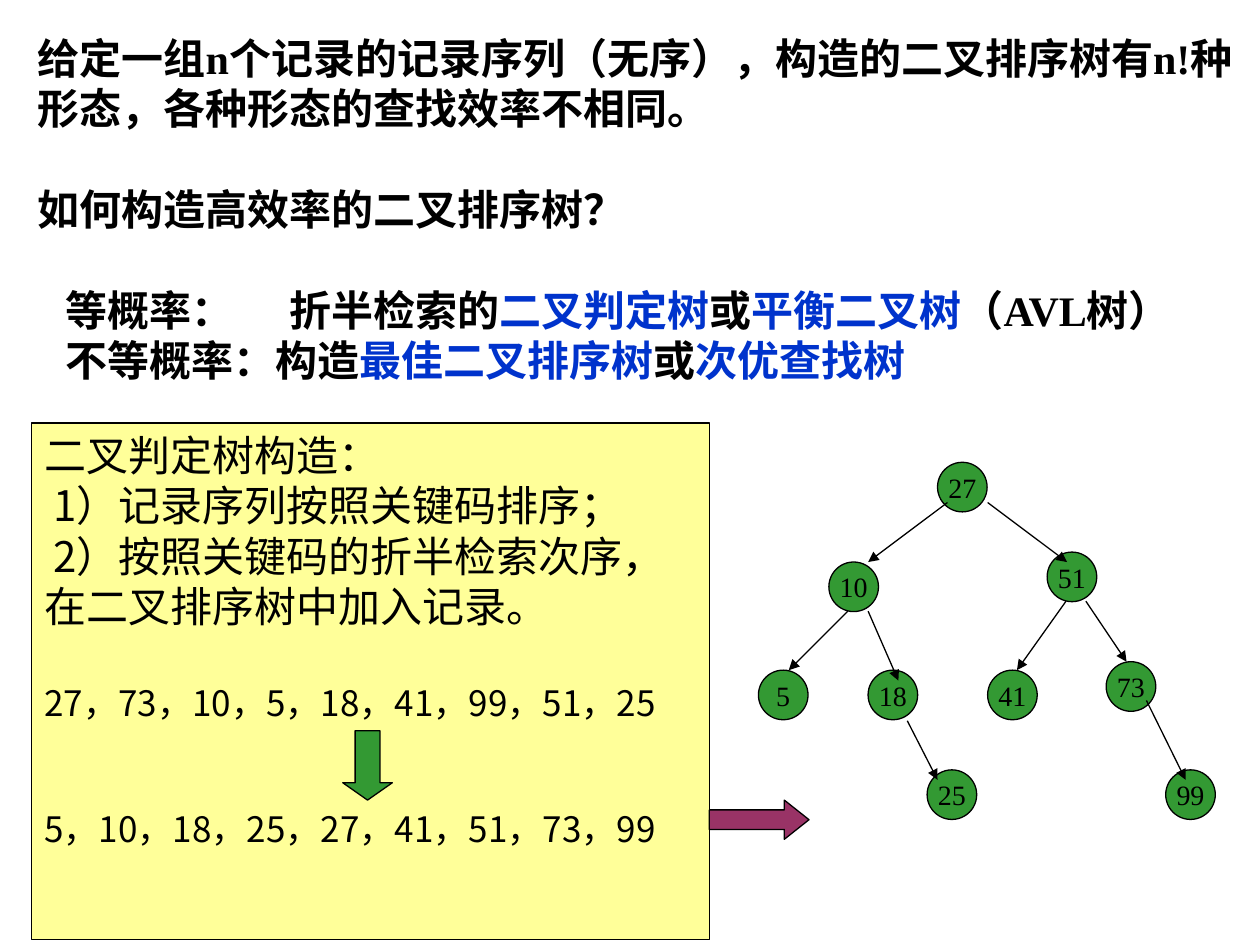
"""Slide on building efficient binary search trees, with a decision tree example."""
from lxml import etree
from pptx import Presentation
from pptx import util as u
from pptx.dml.color import RGBColor
from pptx.enum import shapes, text
from pptx.oxml.ns import qn

BLACK = RGBColor(0x00, 0x00, 0x00)
BLUE = RGBColor(0x00, 0x33, 0xCC)
YELLOW = RGBColor(0xFF, 0xFF, 0x99)
GREEN = RGBColor(0x33, 0x99, 0x33)
PLUM = RGBColor(0x99, 0x33, 0x66)
CJK_FONT = "Noto Sans CJK SC"
LATIN_FONT = "Times New Roman"


def draw(parent, kind, box, fill):
    shape = parent.add_shape(kind, *(u.Cm(length) for length in box))
    shape.shadow.inherit = False
    shape.fill.solid()
    shape.fill.fore_color.rgb = fill
    shape.line.color.rgb = BLACK
    shape.line.width = u.Pt(0.75)
    return shape


def write(frame, paragraphs, font_name, bold=False):
    for i, (runs, size, gap, indent, tab) in enumerate(paragraphs):
        paragraph = frame.paragraphs[0] if i == 0 else frame.add_paragraph()
        paragraph.alignment = text.PP_ALIGN.LEFT
        properties = paragraph._p.get_or_add_pPr()
        properties.set("marL", "0")
        properties.set("indent", str(u.Cm(indent)))
        if gap:
            paragraph.space_before = u.Pt(gap)
        if tab:
            stops = etree.SubElement(properties, qn("a:tabLst"))
            etree.SubElement(stops, qn("a:tab"), pos=str(u.Cm(tab)), algn="l")
        for words, color in runs:
            run = paragraph.add_run()
            run.text = words
            style = {"name": font_name, "size": u.Pt(size), "bold": bold}
            for key, value in style.items():
                setattr(run.font, key, value)
            run.font.color.rgb = color
            etree.SubElement(run._r.get_or_add_rPr(), qn("a:ea"), typeface=CJK_FONT)


prs = Presentation()
prs.slide_width = u.Cm(25.4)
prs.slide_height = u.Cm(19.05)
slide = prs.slides.add_slide(prs.slide_layouts[6])

question = slide.shapes.add_textbox(u.Cm(0.51), u.Cm(0.53), u.Cm(24.61), u.Cm(7.37))
question.text_frame.word_wrap = True
write(question.text_frame, [
    ([("给定一组n个记录的记录序列（无序），构造的二叉排序树有n!种形态，各种形态的查找效率不相同。", BLACK)],
     24, 0, 0, 0),
    ([("如何构造高效率的二叉排序树？", BLACK)], 24, 28.8, 0, 0),
    ([("等概率：\t折半检索的", BLACK), ("二叉判定树", BLUE), ("或", BLACK),
      ("平衡二叉树", BLUE), ("（AVL树）", BLACK)], 24, 28.8, 0.56, 4.72),
    ([("不等概率：构造", BLACK), ("最佳二叉排序树", BLUE), ("或", BLACK),
      ("次优查找树", BLUE)], 24, 0, 0.56, 0),
], LATIN_FONT, bold=True)

method = draw(slide.shapes, shapes.MSO_SHAPE.RECTANGLE, (0.64, 8.53, 13.67, 10.41), YELLOW)
method.text_frame.word_wrap = True
method.text_frame.vertical_anchor = text.MSO_ANCHOR.TOP
write(method.text_frame, [
    ([("二叉判定树构造：", BLACK)], 24, 0, 0, 0),
    ([("1）记录序列按照关键码排序；", BLACK)], 24, 0, 0.19, 0),
    ([("2）按照关键码的折半检索次序，在二叉排序树中加入记录。", BLACK)], 24, 0, 0.19, 0),
    ([("27，73，10，5，18，41，99，51，25", BLACK)], 20, 28.8, 0, 0),
    ([("5，10，18，25，27，41，51，73，99", BLACK)], 20, 48, 0, 0),
], CJK_FONT)

sorting = draw(slide.shapes, shapes.MSO_SHAPE.DOWN_ARROW, (6.91, 14.73, 1, 1.4), GREEN)
sorting.adjustments[1] = 0.35

tree = slide.shapes.add_group_shape().shapes
NODES = {
    "27": (18.9, 9.32), "10": (16.71, 11.33), "5": (15.29, 13.51),
    "18": (17.5, 13.51), "51": (21.11, 11.13), "41": (19.91, 13.51),
    "73": (22.3, 13.34), "25": (18.69, 15.52), "99": (23.5, 15.52),
}
for key, (left, top) in NODES.items():
    node = draw(tree, shapes.MSO_SHAPE.OVAL, (left, top, 1, 1), GREEN)
    frame = node.text_frame
    frame.word_wrap = False
    frame.vertical_anchor = text.MSO_ANCHOR.MIDDLE
    write(frame, [([(key, BLACK)], 16, 0, 0, 0)], LATIN_FONT)
    frame.paragraphs[0].alignment = text.PP_ALIGN.CENTER

BRANCHES = [
    (19.1, 10.13, 17.5, 11.33), (19.91, 10.13, 21.51, 11.33),
    (17.09, 12.32, 15.9, 13.51), (17.5, 12.32, 18.11, 13.72),
    (21.49, 12.12, 20.5, 13.51), (21.89, 12.12, 22.71, 13.34),
    (18.29, 14.53, 18.9, 15.72), (23.11, 14.12, 23.9, 15.72),
]
for ends in BRANCHES:
    branch = tree.add_connector(shapes.MSO_CONNECTOR.STRAIGHT, *(u.Cm(end) for end in ends))
    branch.line.color.rgb = BLACK
    branch.line.width = u.Pt(0.75)
    etree.SubElement(branch.line._get_or_add_ln(), qn("a:tailEnd"), type="triangle")
    etree.SubElement(branch._element.spPr, qn("a:effectLst"))

building = draw(slide.shapes, shapes.MSO_SHAPE.RIGHT_ARROW, (14.3, 16.13, 2.01, 0.79), PLUM)
building.adjustments[1] = 0.63

prs.save("out.pptx")
